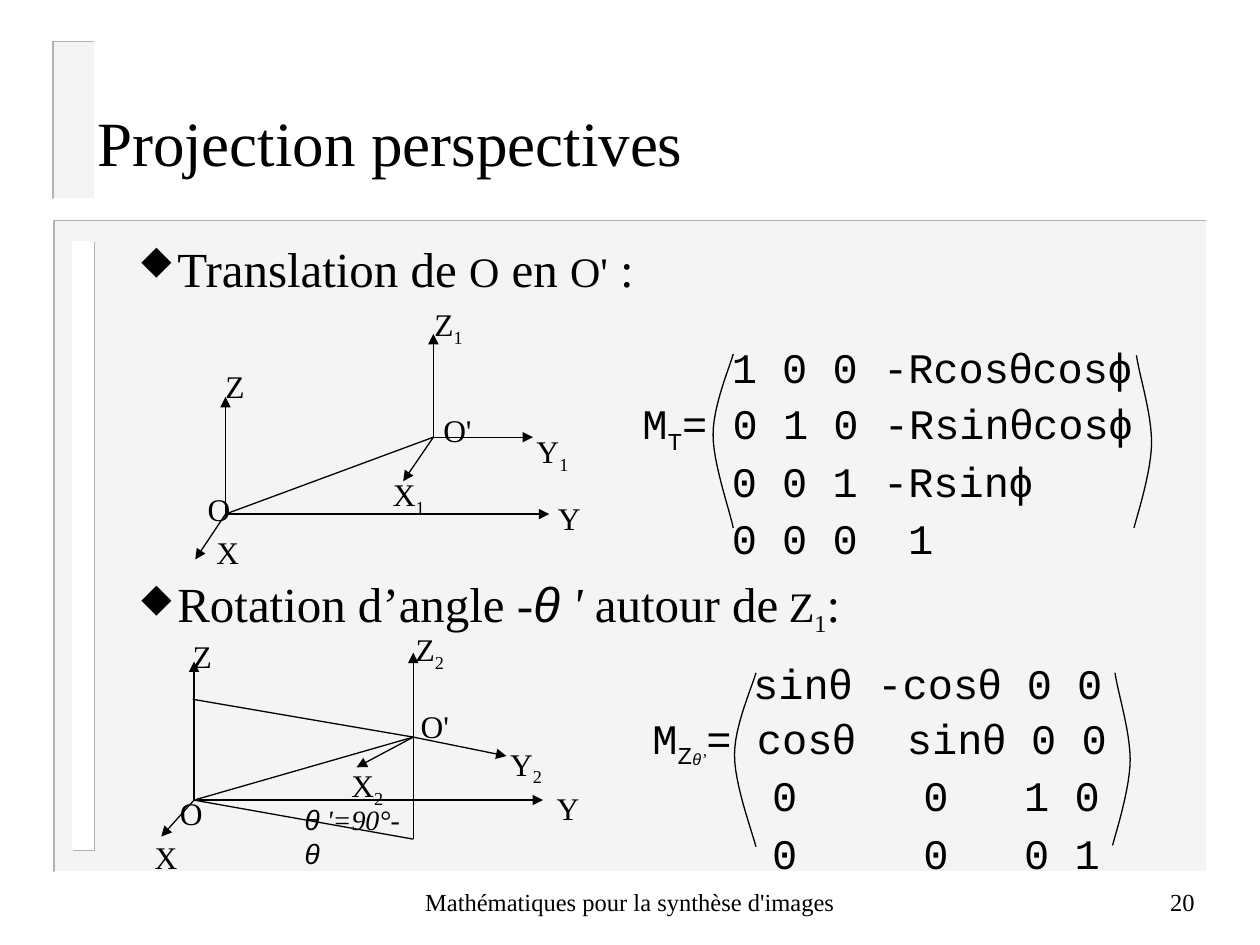
from lxml.etree import SubElement
from pptx import Presentation
from pptx.dml.color import RGBColor
from pptx.enum.shapes import MSO_CONNECTOR, MSO_SHAPE
from pptx.enum.text import MSO_ANCHOR, PP_ALIGN
from pptx.oxml.ns import qn
from pptx.util import Inches, Pt

COLORS = {"ink": "000000", "panel": "EAEAEA", "edge": "B2B2B2", "light": "FFFFFF"}
SERIF, SANS, MONO = "Times New Roman", "Arial", "Courier New"

# Content: a span is (text, font, size, options)
TITLE = "Projection perspectives"
FOOTER, NUMBER = "Mathématiques pour la synthèse d'images", "20"
SUB, ITALIC = {"base": -25}, {"italic": True}
BULLETS = [
    [("Translation de ", SERIF, 28, {}), ("O", SERIF, 24, {}), (" en ", SERIF, 28, {}),
     ("O'", SERIF, 24, {}), (" :", SERIF, 28, {})],
    [("Rotation d’angle -", SERIF, 28, {}), ("θ", SANS, 28, ITALIC), (" '", SERIF, 28, ITALIC),
     (" autour de", SERIF, 28, {}), (" Z", SERIF, 24, {}), ("1", SERIF, 24, SUB),
     (":", SERIF, 28, {})],
]
ANGLE = [("θ", SANS, 16, ITALIC), (" '=90°-", SERIF, 16, ITALIC), ("θ", SANS, 16, ITALIC)]

# Axis diagrams: labels are (letter, subscript, left, top); lines are (start, end, arrow)
O1, P1 = (1.79, 4.08), (3.44, 3.47)
O2, P2 = (1.54, 6.35), (3.28, 5.85)
FOOT = (3.28, 6.66)
LABELS = [
    ("O'", "", 3.42, 3.21), ("Y", "1", 4.16, 3.38), ("X", "1", 3.02, 3.72),
    ("Z", "1", 3.35, 2.37), ("O", "", 1.55, 3.84), ("X", "", 1.62, 4.18),
    ("Z", "", 1.69, 2.86), ("Y", "", 4.33, 3.91),
    ("O'", "", 3.24, 5.56), ("Y", "2", 3.95, 5.86), ("X", "2", 2.69, 6.03),
    ("Z", "2", 3.2, 4.95), ("O", "", 1.33, 6.25), ("X", "", 1.13, 6.6),
    ("Z", "", 1.43, 5.01), ("Y", "", 4.32, 6.21),
]
LINES = [
    (O1, P1, False), (P1, (3.44, 2.65), True), (P1, (3.2, 3.82), True),
    (P1, (4.23, 3.47), True), (O1, (1.79, 3.15), True), (O1, (1.55, 4.44), True),
    (O1, (4.36, 4.08), True),
    (O2, P2, False), (O2, (1.54, 5.25), True), (O2, (1.28, 6.64), True),
    (O2, (4.31, 6.35), True), (P2, FOOT, False), (P2, (3.28, 5.18), True),
    (O2, FOOT, False), ((1.53, 5.55), P2, False), (P2, (4.02, 6), True),
    (P2, (2.83, 6.09), True),
]


# Matrices: rows are (tab stops, space before, spans)
def mono(text, size=24, **options):
    """Courier spans, with each Greek letter set in the sans font."""
    spans, plain = [], ""
    for letter in text:
        if letter in "θϕ":
            if plain:
                spans.append((plain, MONO, size, options))
            spans.append((letter, SANS, size, options))
            plain = ""
        else:
            plain += letter
    return spans + ([(plain, MONO, size, options)] if plain else [])


MATRICES = [
    {"at": (5, 2.65, 4.67, 1.92), "top": 0.06, "rows": [
        ([0.71], 0, mono("\t1 0 0 -Rcosθcosϕ")),
        ([], 3.4, mono("M") + mono("T", base=-25) + mono("= 0 1 0 -Rsinθcosϕ")),
        ([0.71], 0, mono("\t0 0 1 -Rsinϕ")),
        ([0.71, 2.11], 4, mono("\t0 0 0\t1"))]},
    {"at": (5.08, 5.18, 4.67, 1.87), "top": 0.04, "rows": [
        ([0.8], 0, mono("\tsinθ -cosθ 0 0")),
        ([2.02], 2.4, mono("M") + mono("Z", base=-25)
         + [("θ", SANS, 16, {"base": -40, "italic": True}),
            ("’", SERIF, 16, {"base": -40, "italic": True})]
         + mono("= cosθ\tsinθ 0 0")),
        ([0.95, 2.15, 2.95], 0, mono("\t0\t0\t1 0")),
        ([0.95, 2.15, 2.95], 4, mono("\t0\t0\t0 1"))]},
]
# Brackets: a start point, then the control points of two Bezier curves
BRACKETS = [
    [(5.82, 2.81), (5.79, 2.92), (5.66, 3.22), (5.66, 3.45), (5.66, 3.68), (5.79, 4.04), (5.82, 4.19)],
    [(9, 4.19), (9.03, 4.08), (9.14, 3.73), (9.14, 3.51), (9.14, 3.28), (9.04, 2.97), (9.02, 2.82)],
    [(6, 5.34), (5.97, 5.45), (5.83, 5.76), (5.83, 5.99), (5.83, 6.22), (5.96, 6.57), (6, 6.72)],
    [(8.83, 6.71), (8.86, 6.6), (8.97, 6.25), (8.97, 6.03), (8.97, 5.8), (8.87, 5.49), (8.85, 5.34)],
]
# Panels: left, top, width, height, fill, opacity, upper-left edge, lower-right edge
PANELS = [
    (0.43, 1.75, 9.15, 5.17, "panel", 50, "edge", "light"),
    (0.58, 1.92, 0.17, 4.83, "light", 100, "light", "edge"),
    (0.42, 0.33, 0.33, 1.25, "panel", 50, "edge", "light"),
]

deck = Presentation()
deck.slide_width, deck.slide_height = Inches(10), Inches(7.5)
page = deck.slides.add_slide(deck.slide_layouts[5])


def color(name):
    return RGBColor.from_string(COLORS[name])


def polyline(points, line_color, width):
    points = [(Inches(x), Inches(y)) for x, y in points]
    builder = page.shapes.build_freeform(*points[0])
    builder.add_line_segments(points[1:], close=False)
    shape = builder.convert_to_shape()
    shape.shadow.inherit = False
    shape.fill.background()
    shape.line.color.rgb = color(line_color)
    shape.line.width = Pt(width)


def add_spans(para, spans):
    for text, font, size, options in spans:
        span = para.add_run()
        span.text = text
        span.font.name, span.font.size = font, Pt(size)
        span.font.italic = options.get("italic", False)
        span.font.color.rgb = color("ink")
        if "base" in options:
            span.font._element.set("baseline", str(options["base"] * 1000))


def text_box(at, spans=(), wrap=True, align=PP_ALIGN.LEFT, anchor=MSO_ANCHOR.TOP):
    frame = page.shapes.add_textbox(*map(Inches, at)).text_frame
    frame.word_wrap, frame.vertical_anchor = wrap, anchor
    frame.paragraphs[0].alignment = align
    add_spans(frame.paragraphs[0], spans)
    return frame


def next_para(frame, index):
    return frame.add_paragraph() if index else frame.paragraphs[0]


# Background panels with bevelled edges
for left, top, width, height, fill, opacity, upper, lower in PANELS:
    panel = page.shapes.add_shape(MSO_SHAPE.RECTANGLE, *map(Inches, (left, top, width, height)))
    panel.shadow.inherit = False
    panel.line.fill.background()
    panel.fill.solid()
    panel.fill.fore_color.rgb = color(fill)
    if opacity < 100:
        tint = panel._element.spPr.find(f".//{qn('a:srgbClr')}")
        SubElement(tint, qn("a:alpha"), val=str(opacity * 1000))
    right, bottom = left + width, top + height
    polyline([(right, top), (left, top), (left, bottom)], upper, 1)
    polyline([(right, top), (right, bottom), (left, bottom)], lower, 1)

# Title and footer
title = page.shapes.title
title.left, title.top, title.width, title.height = map(Inches, (0.67, 0.75, 8.5, 0.75))
title.text_frame.vertical_anchor = MSO_ANCHOR.MIDDLE
title.text_frame.paragraphs[0].alignment = PP_ALIGN.LEFT
add_spans(title.text_frame.paragraphs[0], [(TITLE, SERIF, 36, {})])
for text, at, align in [(FOOTER, (3.2, 6.91, 3.6, 0.5), PP_ALIGN.CENTER),
                        (NUMBER, (7.5, 6.91, 2.08, 0.5), PP_ALIGN.RIGHT)]:
    text_box(at, [(text, SERIF, 14, {})], True, align, MSO_ANCHOR.MIDDLE)

# Bullets, with room between them for the first diagram
body = text_box((0.5, 1.83, 9, 5.34))
body.margin_top = Inches(0.06)
for index, spans in enumerate(BULLETS):
    para = next_para(body, index)
    para.space_before = Pt(158 * index)
    props = para._p.get_or_add_pPr()
    props.set("marL", str(Inches(0.81)))
    props.set("indent", str(Inches(-0.31)))
    SubElement(SubElement(props, qn("a:buClr")), qn("a:srgbClr"), val=COLORS["ink"])
    SubElement(props, qn("a:buSzPct"), val="75000")
    # In this symbol font the letter u is a black diamond
    SubElement(props, qn("a:buFont"), typeface="Wingdings", pitchFamily="2", charset="2")
    SubElement(props, qn("a:buChar"), char="u")
    add_spans(para, spans)

# Axis diagrams
for start, end, arrow in LINES:
    line = page.shapes.add_connector(MSO_CONNECTOR.STRAIGHT, *map(Inches, start + end))
    line.line.color.rgb = color("ink")
    line.line.width = Pt(0.75)
    if arrow:
        SubElement(line.line._get_or_add_ln(), qn("a:tailEnd"), type="triangle")
    SubElement(line._element.spPr, qn("a:effectLst"))
for letter, index, left, top in LABELS:
    spans = [(letter, SERIF, 18, {})] + ([(index, SERIF, 18, SUB)] if index else [])
    width = 0.5 if len(letter + index) > 1 else 0.4
    text_box((left, top, width, 0.42), spans)
text_box((2.32, 6.32, 1.06, 0.37), ANGLE)

# Matrices and their brackets
for matrix in MATRICES:
    frame = text_box(matrix["at"])
    frame.margin_top = Inches(matrix["top"])
    for index, (stops, gap, spans) in enumerate(matrix["rows"]):
        para = next_para(frame, index)
        para.space_before = Pt(gap)
        tabs = SubElement(para._p.get_or_add_pPr(), qn("a:tabLst"))
        for stop in stops:
            SubElement(tabs, qn("a:tab"), pos=str(Inches(stop)), algn="l")
        add_spans(para, spans)
for curve in BRACKETS:
    points = [curve[0]]
    for first in (0, 3):
        a, b, c, d = curve[first:first + 4]
        for t in (step / 12 for step in range(1, 13)):
            weights = ((1 - t) ** 3, 3 * t * (1 - t) ** 2, 3 * t * t * (1 - t), t ** 3)
            points.append(tuple(sum(w * p[axis] for w, p in zip(weights, (a, b, c, d)))
                                for axis in (0, 1)))
    polyline(points, "ink", 0.75)

deck.save("out.pptx")
